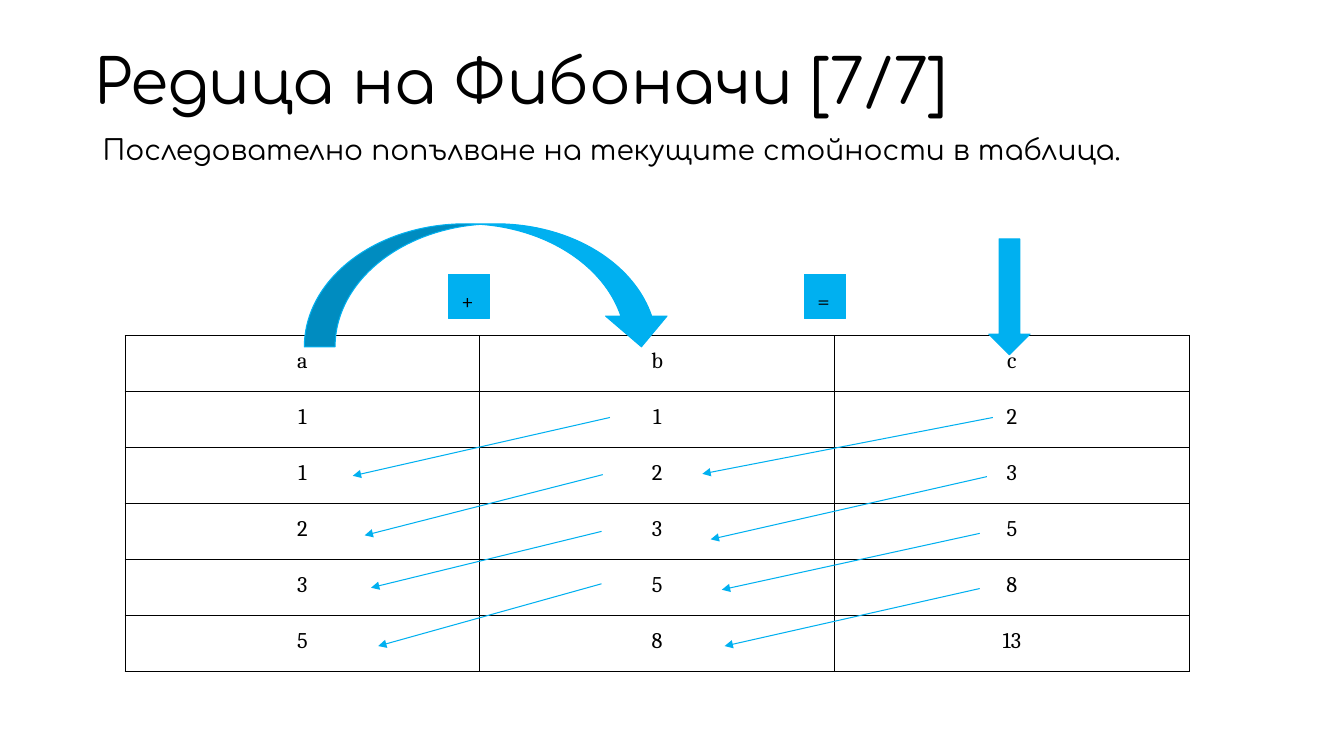
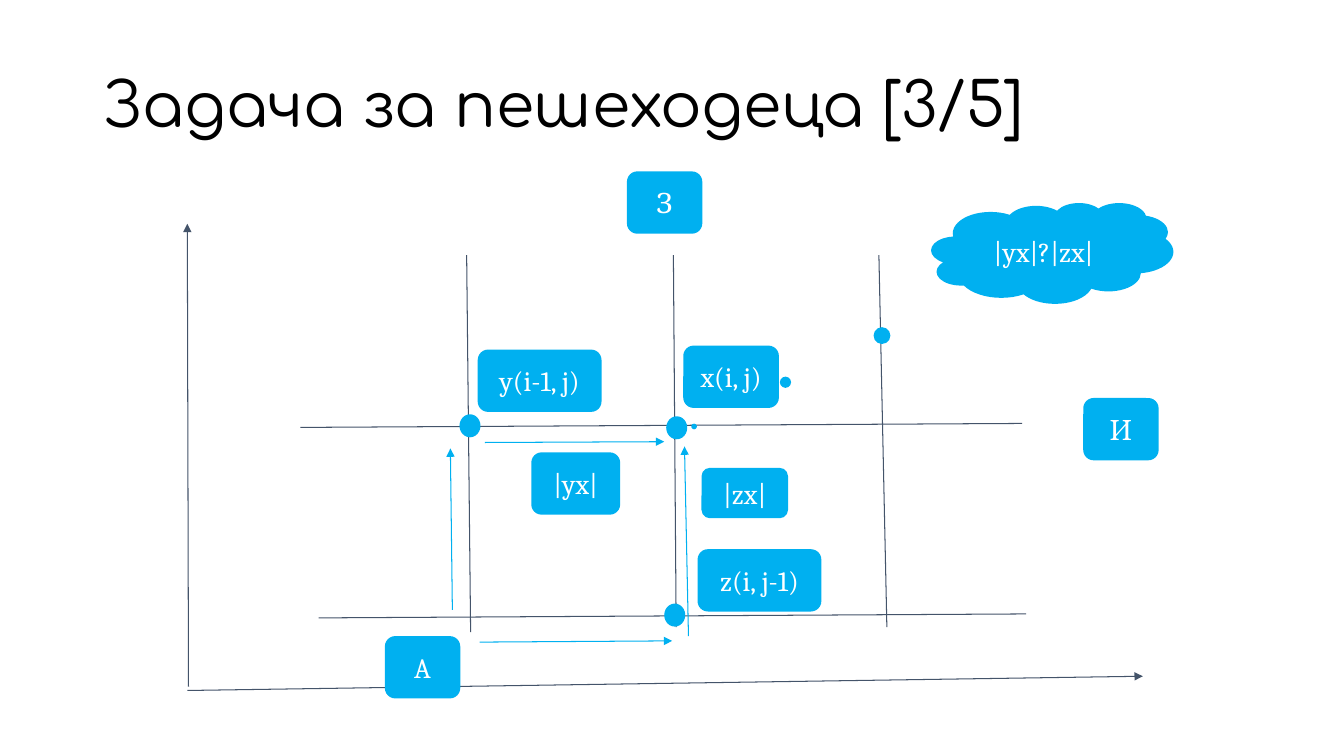
"""Two slides: filling a Fibonacci table and the pedestrian grid problem."""
from lxml import etree
from pptx import Presentation
from pptx.dml.color import RGBColor
from pptx.enum.shapes import MSO_CONNECTOR, MSO_SHAPE
from pptx.enum.text import MSO_ANCHOR, PP_ALIGN
from pptx.oxml import parse_xml
from pptx.oxml.ns import nsdecls, qn
from pptx.util import Cm, Pt

BLUE = RGBColor(0x00, 0xB0, 0xF0)
SLATE = RGBColor(0x44, 0x54, 0x6A)
BLACK = RGBColor(0x00, 0x00, 0x00)
WHITE = RGBColor(0xFF, 0xFF, 0xFF)
HEAD_FONT, BODY_FONT = "Comfortaa", "Cambria"
STRAIGHT = MSO_CONNECTOR.STRAIGHT
RECT, ROUND, DOT = MSO_SHAPE.RECTANGLE, MSO_SHAPE.ROUNDED_RECTANGLE, MSO_SHAPE.OVAL
CURVED, DOWN, CLOUD = MSO_SHAPE.CURVED_DOWN_ARROW, MSO_SHAPE.DOWN_ARROW, MSO_SHAPE.CLOUD_CALLOUT
LEFT, CENTER, JUSTIFY = PP_ALIGN.LEFT, PP_ALIGN.CENTER, PP_ALIGN.JUSTIFY
TOP, MIDDLE = MSO_ANCHOR.TOP, MSO_ANCHOR.MIDDLE
INSET = Cm(0.33)


def add_figure(s, kind, box, text="", size=20, color=WHITE, align=CENTER, anchor=MIDDLE):
    sp = s.shapes.add_shape(kind, *[Cm(v) for v in box])
    sp.shadow.inherit = False
    sp.fill.solid()
    sp.fill.fore_color.rgb = BLUE
    sp.line.fill.background()
    if text:
        tf = sp.text_frame
        tf.text = text
        tf.word_wrap = True
        tf.vertical_anchor = anchor
        tf.margin_left = tf.margin_right = tf.margin_top = tf.margin_bottom = INSET
        p = tf.paragraphs[0]
        p.alignment = align
        f = p.runs[0].font
        f.name, f.size, f.color.rgb = BODY_FONT, Pt(size), color
    return sp


def add_line(s, ends, color, arrow):
    ln = s.shapes.add_connector(STRAIGHT, *[Cm(v) for v in ends])
    ln.line.color.rgb = color
    ln.line.width = Pt(0.75)
    if arrow:
        etree.SubElement(ln.line._get_or_add_ln(), qn("a:tailEnd"), type="triangle")
    etree.SubElement(ln._element.spPr, qn("a:effectLst"))


prs = Presentation()
prs.slide_width, prs.slide_height = Cm(33.87), Cm(19.05)
fib, walk = [prs.slides.add_slide(prs.slide_layouts[6]) for _ in range(2)]

HEADINGS = [
    (fib, "Редица на Фибоначи [7/7]", (2.08, 1.07, 28.09, 2.13), 44, LEFT, MIDDLE),
    (fib, "Последователно попълване на текущите стойности в таблица.",
     (2.29, 3.33, 28.58, 1.52), 20, JUSTIFY, TOP),
    (walk, "Задача за пешеходеца [3/5]", (2.31, 1.65, 28.7, 2.13), 44, LEFT, MIDDLE),
]
for s, text, box, size, align, anchor in HEADINGS:
    tf = s.shapes.add_textbox(*[Cm(v) for v in box]).text_frame
    tf.text = text
    tf.word_wrap = True
    tf.vertical_anchor = anchor
    tf.margin_left = tf.margin_right = Cm(0.3)
    tf.margin_top = tf.margin_bottom = Cm(0.1)
    p = tf.paragraphs[0]
    p.alignment, p.line_spacing = align, 0.9
    f = p.runs[0].font
    f.name, f.size, f.color.rgb = HEAD_FONT, Pt(size), BLACK

rows = [("a", "b", "c")]
a, b = 1, 1
for _ in range(5):
    rows.append((a, b, a + b))
    a, b = b, a + b

table = fib.shapes.add_table(6, 3, Cm(3.15), Cm(8.46), Cm(26.82), Cm(8.46)).table
table.first_row = table.horz_banding = False
for row, values in zip(table.rows, rows):
    for cell, value in zip(row.cells, values):
        cell.text = str(value)
        cell.margin_left = cell.margin_right = cell.margin_top = cell.margin_bottom = INSET
        p = cell.text_frame.paragraphs[0]
        p.alignment = CENTER
        f = p.runs[0].font
        f.name, f.size, f.color.rgb = BODY_FONT, Pt(16), BLACK
        tcPr = cell._tc.get_or_add_tcPr()
        for side in ("lnL", "lnR", "lnT", "lnB"):
            tcPr.append(parse_xml(
                f'<a:{side} {nsdecls("a")} w="9525"><a:solidFill>'
                f'<a:srgbClr val="{BLACK}"/></a:solidFill></a:{side}>'))
        cell.fill.background()

for kind, box, text in [
    (CURVED, (7.67, 5.64, 9.27, 3.1), ""),
    (RECT, (11.3, 6.91, 1.04, 1.12), "+"),
    (RECT, (20.27, 6.91, 1.04, 1.12), "="),
    (DOWN, (24.92, 6.02, 1.04, 2.92), ""),
]:
    sp = add_figure(fib, kind, box, text, 16, BLACK, LEFT, TOP)
    sp.line.color.rgb = BLUE
    sp.line.width = Pt(0.75)

SHIFTS = [
    (25.02, 10.52, 17.7, 11.94), (15.37, 10.52, 8.89, 11.99),
    (24.87, 12.01, 17.91, 13.59), (15.19, 11.96, 9.19, 13.49),
    (24.69, 13.44, 18.19, 14.86), (15.16, 13.39, 9.35, 14.81),
    (24.69, 14.83, 18.26, 16.28), (15.16, 14.71, 9.53, 16.28),
]
for ends in SHIFTS:
    add_line(fib, ends, BLUE, True)

AXES = [(4.75, 17.3, 4.72, 5.64), (4.72, 17.4, 28.8, 17.04)]
STREETS = [
    (11.76, 6.43, 11.86, 15.93), (16.97, 6.43, 17.04, 15.8), (22.15, 6.43, 22.35, 15.8),
    (7.57, 10.77, 25.76, 10.67), (8.03, 15.57, 25.86, 15.47),
]
STEPS = [
    (12.22, 11.15, 16.74, 11.13), (17.35, 16.03, 17.25, 11.25),
    (12.09, 16.18, 16.94, 16.15), (11.4, 15.37, 11.35, 11.3),
]
for group, color, arrow in [(AXES, SLATE, True), (STREETS, SLATE, False), (STEPS, BLUE, True)]:
    for ends in group:
        add_line(walk, ends, color, arrow)

LABELS = [
    ("И", 27.3, 10.03, 1.9, 1.57),
    ("|yx|", 13.39, 11.4, 2.24, 1.57),
    ("A", 9.7, 16.03, 1.9, 1.57),
    ("z(i, j-1)", 17.58, 13.84, 3.12, 1.57),
    ("y(i-1, j)", 12.04, 8.81, 3.12, 1.57),
    ("x(i, j)", 17.22, 8.71, 2.41, 1.57),
    ("З", 15.8, 4.32, 1.9, 1.57),
    ("|zx|", 17.68, 11.79, 2.18, 1.27),
]
for text, *box in LABELS:
    add_figure(walk, ROUND, box, text)
for x, y in [(16.79, 10.49), (11.58, 10.44), (16.74, 15.21)]:
    add_figure(walk, DOT, (x, y, 0.53, 0.58))

cloud = add_figure(walk, CLOUD, (23.47, 5.11, 6.1, 2.54), "|yx|?|zx|")
cloud.adjustments[0], cloud.adjustments[1] = -1.48, 1.72

prs.save("out.pptx")
